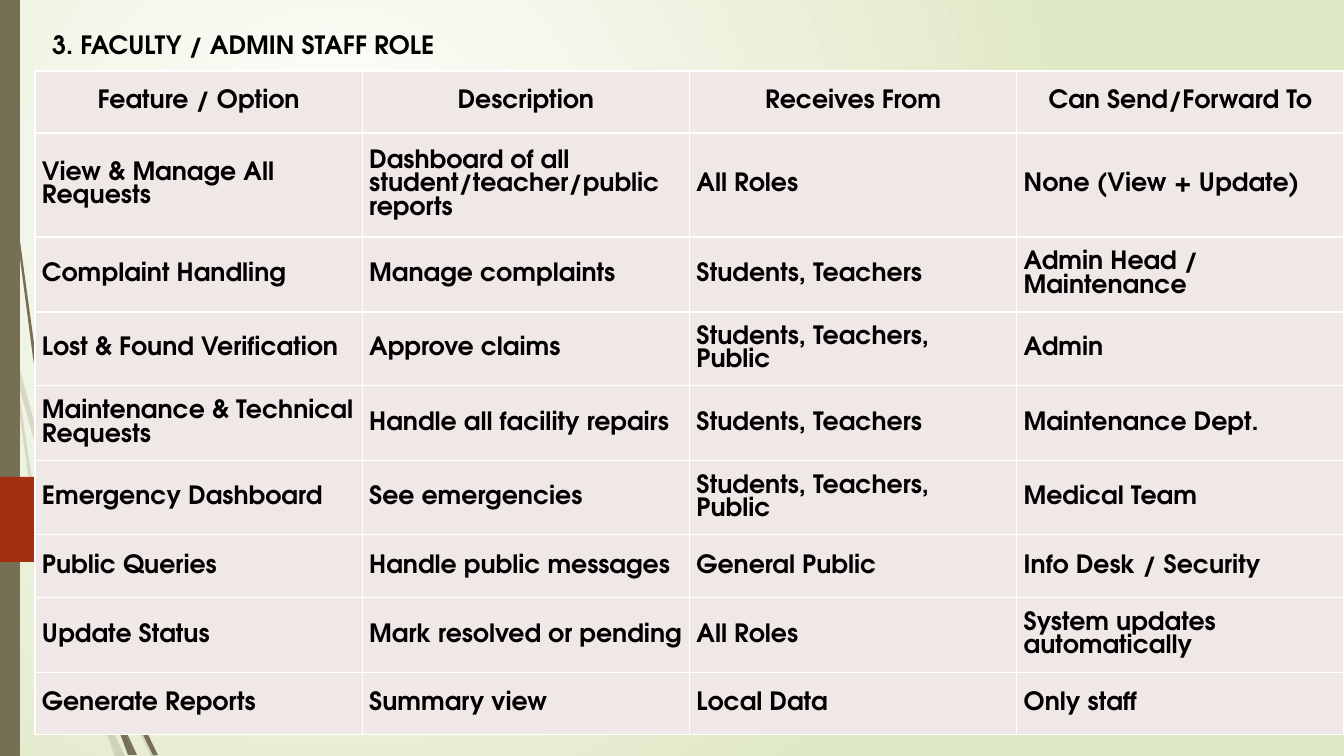
from lxml.etree import SubElement
from pptx import Presentation
from pptx.dml.color import RGBColor
from pptx.enum.shapes import MSO_SHAPE
from pptx.enum.text import MSO_ANCHOR, MSO_AUTO_SIZE, PP_ALIGN
from pptx.oxml import parse_xml
from pptx.oxml.ns import nsdecls, qn
from pptx.util import Pt

PX = 914400 / 100.8
WIDE, HIGH = 1344, 756
BLACK = RGBColor(0x00, 0x00, 0x00)
WHITE = RGBColor(0xFF, 0xFF, 0xFF)
LIME = RGBColor(0xDF, 0xE8, 0xC4)
OLIVE = RGBColor(0x76, 0x6F, 0x54)
RUST = RGBColor(0xA5, 0x30, 0x10)
BLUSH = RGBColor(0xF0, 0xE8, 0xE7)
FONT = {"name": "TeX Gyre Adventor", "size": Pt(18), "bold": True}

PALE = [
    [(58, 526), (85, 604), (86, 591), (62, 524), (14, 348), (17, 379)],
    [(93, 612), (89, 601), (89, 615), (124, 700), (151, 756), (156, 756),
     (128, 698)],
    [(120, 756), (125, 756), (106, 717)],
    [(94, 688), (71, 624), (31, 473), (17, 379), (11, 353), (28, 474),
     (66, 626), (93, 699), (102, 720), (100, 713)],
    [(102, 720), (115, 756), (120, 756)],
    [(97, 698), (94, 688), (100, 713), (102, 720), (120, 756), (106, 717)],
]
DARK = [
    [(7, 111), (17, 235), (33, 358), (56, 481), (57, 485), (55, 457),
     (36, 358), (19, 234), (8, 110), (5, 48), (4, 0), (3, 0), (4, 48)],
    [(114, 654), (111, 646), (112, 661), (133, 714), (153, 755), (158, 755),
     (137, 712)],
    [(134, 755), (137, 755), (123, 725)],
    [(118, 728), (128, 755), (132, 755)],
    [(117, 712), (111, 697), (117, 723), (118, 728), (131, 755), (134, 755),
     (123, 725)],
]
ROWS = [
    ("Feature / Option", "Description", "Receives From", "Can Send/Forward To"),
    ("View & Manage All Requests",
     "Dashboard of all student/teacher/public reports",
     "All Roles", "None (View + Update)"),
    ("Complaint Handling", "Manage complaints", "Students, Teachers",
     "Admin Head / Maintenance"),
    ("Lost & Found Verification", "Approve claims",
     "Students, Teachers, Public", "Admin"),
    ("Maintenance & Technical Requests", "Handle all facility repairs",
     "Students, Teachers", "Maintenance Dept."),
    ("Emergency Dashboard", "See emergencies", "Students, Teachers, Public",
     "Medical Team"),
    ("Public Queries", "Handle public messages", "General Public",
     "Info Desk / Security"),
    ("Update Status", "Mark resolved or pending", "All Roles",
     "System updates automatically"),
    ("Generate Reports", "Summary view", "Local Data", "Only staff"),
]
TALL = [62, 104, 75, 74, 75, 74, 63, 75, 62]


def emu(*vals):
    """Turn pixels into EMU."""
    return [round(v * PX) for v in vals]


def put(item, vals):
    """Set each attribute of item named in vals."""
    for key, val in vals.items():
        setattr(item, key, val)


def paint(shape, color):
    """Give a shape a flat fill without line or shadow."""
    shape.shadow.inherit = False
    shape.fill.solid()
    shape.fill.fore_color.rgb = color
    shape.line.fill.background()


def write(frame, text, align):
    """Put one styled paragraph into a text frame."""
    para = frame.paragraphs[0]
    para.alignment = align
    run = para.add_run()
    run.text = text
    put(run.font, FONT)
    run.font.color.rgb = BLACK


def glow(slide):
    """Fill the background with a round white to lime gradient."""
    slide.background.fill.solid()
    prop = slide.background._cSld.bg.bgPr
    prop.replace(prop[0], parse_xml(
        f'<a:gradFill {nsdecls("a")} rotWithShape="1"><a:gsLst>'
        f'<a:gs pos="0"><a:srgbClr val="{WHITE}"/></a:gs>'
        f'<a:gs pos="100000"><a:srgbClr val="{LIME}"/></a:gs></a:gsLst>'
        '<a:path path="circle"><a:fillToRect l="50000" t="50000" '
        'r="100000" b="100000"/></a:path></a:gradFill>'))


def wisps(slide, box, group, alpha=None):
    """Draw grass blades from the corner of the box."""
    left, top = box
    for blade in group:
        pts = [(left + x, top + y) for x, y in blade]
        pen = slide.shapes.build_freeform(*pts[0], scale=PX)
        pen.add_line_segments(pts[1:], close=True)
        shape = pen.convert_to_shape()
        paint(shape, OLIVE)
        if alpha:
            tint = shape._element.spPr.find(qn("a:solidFill"))[0]
            SubElement(tint, qn("a:alpha")).set("val", str(alpha * 1000))


def edge(slide, box):
    """Draw the side bar and the rust tag that lies over it."""
    left, top, wide, high = box
    parts = [(MSO_SHAPE.RECTANGLE, 0, wide, high, OLIVE),
             (MSO_SHAPE.PENTAGON, 477, 192, 85, RUST)]
    for kind, drop, w, h, color in parts:
        shape = slide.shapes.add_shape(kind, *emu(left, top + drop, w, h))
        paint(shape, color)


def head(slide, box):
    """Place the title in the box."""
    title = slide.shapes.title
    put(title, dict(zip(("left", "top", "width", "height"), emu(*box))))
    put(title.text_frame, {"vertical_anchor": MSO_ANCHOR.TOP,
                           "auto_size": MSO_AUTO_SIZE.NONE, "word_wrap": True})
    write(title.text_frame, "3. FACULTY / ADMIN STAFF ROLE", PP_ALIGN.LEFT)


def border(cell):
    """Add a thin white line on all four sides of a cell."""
    prop = cell._tc.get_or_add_tcPr()
    for side in "LRTB":
        prop.append(parse_xml(
            f'<a:ln{side} {nsdecls("a")} w="12700"><a:solidFill>'
            f'<a:srgbClr val="{WHITE}"/></a:solidFill></a:ln{side}>'))


def roles(slide, box):
    """Build the table of staff features in the box."""
    cols = len(ROWS[0])
    table = slide.shapes.add_table(len(ROWS), cols, *emu(*box)).table
    put(table, {"first_row": False, "horz_banding": False})
    for col in table.columns:
        col.width = round(box[2] * PX / cols)
    pad = emu(7)[0]
    sides = ("left", "right", "top", "bottom")
    look = {f"margin_{side}": pad for side in sides}
    look["vertical_anchor"] = MSO_ANCHOR.MIDDLE
    for r, (texts, tall) in enumerate(zip(ROWS, TALL)):
        table.rows[r].height = emu(tall)[0]
        for c, text in enumerate(texts):
            cell = table.cell(r, c)
            put(cell, look)
            border(cell)
            cell.fill.solid()
            cell.fill.fore_color.rgb = BLUSH
            align = PP_ALIGN.LEFT if r else PP_ALIGN.CENTER
            write(cell.text_frame, text, align)


def main():
    """Build the slide and save it."""
    deck = Presentation()
    deck.slide_width, deck.slide_height = emu(WIDE, HIGH)
    slide = deck.slides.add_slide(deck.slide_layouts[5])
    glow(slide)
    wisps(slide, (0, 0), PALE, 20)
    wisps(slide, (0, 0), DARK)
    edge(slide, (0, 0, 20, HIGH))
    head(slide, (42, 24, 1302, 46))
    roles(slide, (35, 71, 1309, sum(TALL)))
    deck.save("out.pptx")


main()
